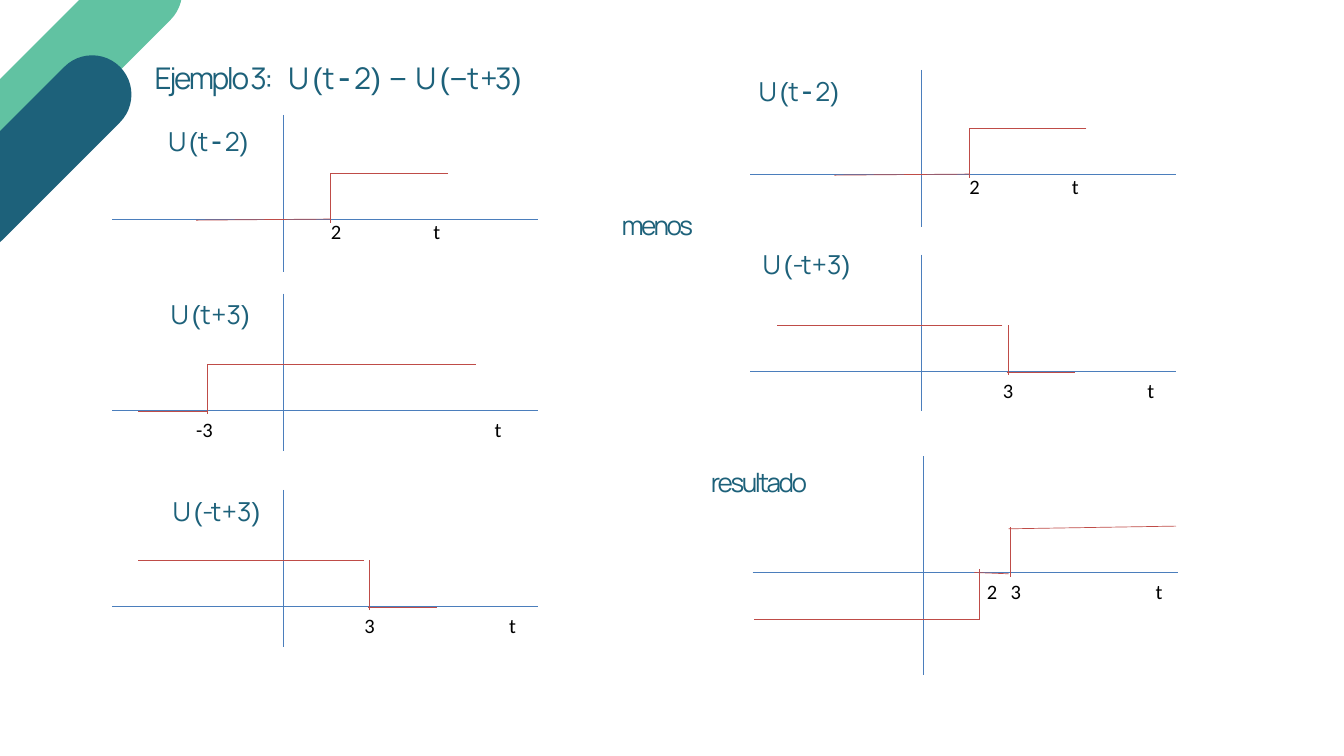
"""Build the slide that works out U(t - 2) − U(−t + 3) step by step."""
from dataclasses import dataclass

from lxml.etree import SubElement
from pptx import Presentation
from pptx.dml.color import RGBColor
from pptx.enum.shapes import MSO_CONNECTOR, MSO_SHAPE
from pptx.enum.text import MSO_ANCHOR, MSO_AUTO_SIZE, PP_ALIGN
from pptx.oxml.ns import qn
from pptx.shapes.base import BaseShape
from pptx.slide import Slide
from pptx.util import Pt

COLORS = {
    "green": "61C2A2",
    "navy": "1D617A",
    "axis": "4B7EBC",
    "signal": "BF4C48",
    "tick": "000000",
}

Segment = tuple[float, float, float, float]


@dataclass(frozen=True)
class Span:
    text: str
    font: str = "Manrope"
    bold: bool = False


@dataclass(frozen=True)
class Signal:
    segments: tuple[Segment, ...]
    ticks: dict[str, float]
    tick_offset: float = 3.6
    axis_top: float = 124.5
    axis_height: float = 168


@dataclass(frozen=True)
class Graph:
    x: float
    y: float
    signal: Signal


@dataclass(frozen=True)
class Heading:
    left: float
    top: float
    width: float
    spans: tuple[Span, ...]


@dataclass(frozen=True)
class Capsule:
    left: float
    top: float
    width: float
    height: float
    color: str


OPEN, CLOSE, UNIT = Span("(", "Arial"), Span(")", "Arial"), Span("U ")
DELAY = (Span("t"), Span(" - ", bold=True), Span("2"))
STEP_AT_2 = (UNIT, OPEN, *DELAY, CLOSE)
STEP_AT_MINUS_3 = (UNIT, OPEN, Span("t + 3"), CLOSE)
REFLECTED_STEP = (UNIT, OPEN, Span("-t + 3"), CLOSE)
TITLE = Heading(165.6, 56.9, 473.8, (
    Span("Ejemplo 3:\tU "), OPEN, *DELAY, Span(") − ", "Arial"),
    UNIT, Span("(−", "Arial"), Span("t +3"), CLOSE,
))

DELAYED = Signal(
    ((177, -49, 51, -49), (51, 4, 51, -49), (-93, 1.2, 51, 0)),
    {"2": 57, "t": 165}, tick_offset=-3.6, axis_top=111.6,
)
ADVANCED = Signal(
    ((206.6, -48.5, -81.4, -48.5), (-81.4, 4.3, -81.4, -48.5), (-154.8, 2, -81.4, 2)),
    {"-3": -84, "t": 230.5},
)
REFLECTED = Signal(
    ((87, -49, -154.8, -49), (93, 4.3, 93, -49), (91.4, 1.8, 165, 1.8)),
    {"3": 93, "t": 246},
)
RESULT = Signal(
    ((60.5, 49.7, -181, 49.7), (93, 4.3, 93, -49), (91.4, -46.8, 270.7, -49.7),
     (60.5, 49.7, 60.5, -3.6), (54.7, 0, 91.4, 1.4)),
    {"2": 73.6, "3": 99, "t": 252.5}, axis_height=234,
)

GRAPHS = (
    Graph(303.1, 439.2, ADVANCED),
    Graph(303.1, 234.7, DELAYED),
    Graph(303.1, 649.4, REFLECTED),
    Graph(987.1, 186.5, DELAYED),
    Graph(987.1, 397.4, REFLECTED),
    Graph(989.3, 613.4, RESULT),
)
HEADINGS = (
    Heading(180, 123.1, 116.6, STEP_AT_2),
    Heading(182.9, 308.2, 113.8, STEP_AT_MINUS_3),
    Heading(185, 519.1, 114.5, REFLECTED_STEP),
    Heading(812.9, 69.1, 116.6, STEP_AT_2),
    Heading(817.2, 254.9, 114.5, REFLECTED_STEP),
    Heading(666, 213.1, 107.3, (Span("menos"),)),
    Heading(761.8, 488.2, 108, (Span("resultado"),)),
)
CAPSULES = (
    Capsule(-95, 34.6, 325.4, 84.2, "green"),
    Capsule(-95.8, 122.4, 262.8, 84.2, "navy"),
)


def color(name: str) -> RGBColor:
    """Return the named colour."""
    return RGBColor.from_string(COLORS[name])


def draw_capsule(page: Slide, capsule: Capsule) -> None:
    """Draw one diagonal bar with round ends."""
    shape = page.shapes.add_shape(
        MSO_SHAPE.ROUNDED_RECTANGLE, Pt(capsule.left), Pt(capsule.top),
        Pt(capsule.width), Pt(capsule.height))
    shape.adjustments[0] = 0.5
    shape.rotation = 315
    shape.shadow.inherit = False
    shape.fill.solid()
    shape.fill.fore_color.rgb = color(capsule.color)
    shape.line.fill.background()


def draw_line(page: Slide, graph: Graph, segment: Segment, color_name: str) -> None:
    """Draw a segment given relative to the origin of the graph."""
    x1, y1, x2, y2 = segment
    line = page.shapes.add_connector(
        MSO_CONNECTOR.STRAIGHT, Pt(graph.x + x1), Pt(graph.y + y1),
        Pt(graph.x + x2), Pt(graph.y + y2))
    line.line.color.rgb = color(color_name)
    line.line.width = Pt(0.75)
    SubElement(line._element.spPr, qn("a:effectLst"))


def draw_tick(page: Slide, graph: Graph, text: str, offset: float) -> None:
    """Write a label centred at an offset along the time axis."""
    width = 36
    box = page.shapes.add_textbox(
        Pt(graph.x + offset - width / 2), Pt(graph.y + graph.signal.tick_offset),
        Pt(width), Pt(33.8))
    box.text_frame.word_wrap = True
    box.text_frame.text = text
    paragraph = box.text_frame.paragraphs[0]
    paragraph.alignment = PP_ALIGN.CENTER
    font = paragraph.runs[0].font
    font.name, font.size = "Calibri", Pt(22)
    font.color.rgb = color("tick")


def draw_graph(page: Slide, graph: Graph) -> None:
    """Draw the axes, labels and signal of one graph."""
    signal = graph.signal
    bottom = signal.axis_height - signal.axis_top
    for axis in ((0, -signal.axis_top, 0, bottom), (-183, 0, 273, 0)):
        draw_line(page, graph, axis, "axis")
    for text, offset in signal.ticks.items():
        draw_tick(page, graph, text, offset)
    for segment in signal.segments:
        draw_line(page, graph, segment, "signal")


def write_heading(box: BaseShape, heading: Heading, size: float) -> None:
    """Place a text shape and fill it with formatted spans."""
    box.left, box.top = Pt(heading.left), Pt(heading.top)
    box.width, box.height = Pt(heading.width), Pt(43)
    frame = box.text_frame
    frame.margin_left = frame.margin_right = frame.margin_top = frame.margin_bottom = 0
    frame.word_wrap = True
    frame.auto_size = MSO_AUTO_SIZE.NONE
    frame.vertical_anchor = MSO_ANCHOR.TOP
    paragraph = frame.paragraphs[0]
    paragraph.alignment = PP_ALIGN.JUSTIFY
    paragraph.line_spacing = Pt(45)
    for span in heading.spans:
        run = paragraph.add_run()
        run.text = span.text
        run.font.name, run.font.size, run.font.bold = span.font, Pt(size), span.bold
        run.font.color.rgb = color("navy")
        if span.font == "Manrope":
            run.font._element.set("spc", "-260")


def main() -> None:
    """Build and save the deck."""
    deck = Presentation()
    deck.slide_width, deck.slide_height = Pt(1440), Pt(810)
    page = deck.slides.add_slide(deck.slide_layouts[5])
    for capsule in CAPSULES:
        draw_capsule(page, capsule)
    for graph in GRAPHS:
        draw_graph(page, graph)
    title = page.shapes.title
    write_heading(title, TITLE, 32)
    tabs = SubElement(title.text_frame.paragraphs[0]._p.get_or_add_pPr(), qn("a:tabLst"))
    SubElement(tabs, qn("a:tab"), pos=str(Pt(143)), algn="l")
    for heading in HEADINGS:
        write_heading(page.shapes.add_textbox(0, 0, 0, 0), heading, 28)
    deck.save("out.pptx")


if __name__ == "__main__":
    main()
